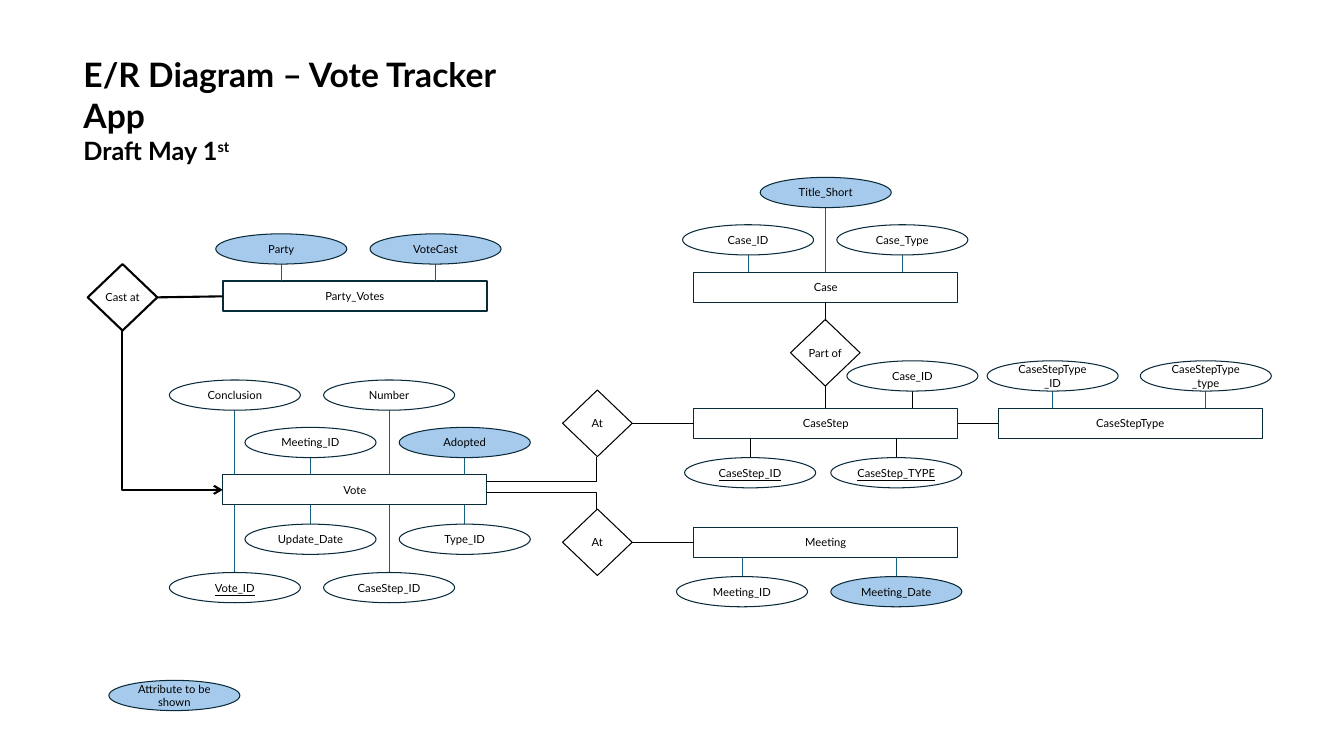
from pptx import Presentation, util as u
from pptx.dml.color import RGBColor
from pptx.enum import shapes, text
from pptx.oxml.ns import qn
from lxml import etree

BLACK = RGBColor(0x00, 0x00, 0x00)
WHITE = RGBColor(0xFF, 0xFF, 0xFF)
NAVY = RGBColor(0x09, 0x2A, 0x39)
TEAL = RGBColor(0x15, 0x60, 0x82)
SHOWN_BLUE = RGBColor(0xA6, 0xCA, 0xEC)
FONT = "Lato"
THIN, THICK = 0.75, 1.5

ENTITY_WIDTH, ENTITY_HEIGHT = 2.62, 0.3
OVAL_WIDTH, OVAL_HEIGHT = 1.3, 0.3
DIAMOND_WIDTH, DIAMOND_HEIGHT = 0.69, 0.66
LEFT_COLUMN, MIDDLE_COLUMN, RIGHT_COLUMN = 2.21, 6.88, 9.9
GAPS = {"above": 0.17, "far above": 0.64, "below": 0.19, "far below": 0.67}

# name, left, top, line width, stem colour, attributes:
# (name, centre from the entity's left, row, "shown" / "key" / "")
ENTITIES = [
    ("Party_Votes", LEFT_COLUMN, 2.79, THICK, TEAL, [
        ("Party", 0.58, "above", "shown"),
        ("VoteCast", 2.11, "above", "shown")]),
    ("Vote", LEFT_COLUMN, 4.71, THIN, TEAL, [
        ("Conclusion", 0.12, "far above", ""),
        ("Meeting_ID", 0.87, "above", ""),
        ("Number", 1.65, "far above", ""),
        ("Adopted", 2.4, "above", "shown"),
        ("Vote_ID", 0.12, "far below", "key"),
        ("Update_Date", 0.87, "below", ""),
        ("CaseStep_ID", 1.65, "far below", ""),
        ("Type_ID", 2.4, "below", "")]),
    ("Case", MIDDLE_COLUMN, 2.7, THIN, TEAL, [
        ("Case_ID", 0.54, "above", ""),
        ("Title_Short", 1.31, "far above", "shown"),
        ("Case_Type", 2.07, "above", "")]),
    ("CaseStep", MIDDLE_COLUMN, 4.05, THIN, BLACK, [
        ("Case_ID", 2.17, "above", ""),
        ("CaseStep_ID", 0.56, "below", "key"),
        ("CaseStep_TYPE", 2.01, "below", "key")]),
    ("Meeting", MIDDLE_COLUMN, 5.23, THIN, TEAL, [
        ("Meeting_ID", 0.48, "below", ""),
        ("Meeting_Date", 2.01, "below", "shown")]),
    ("CaseStepType", RIGHT_COLUMN, 4.05, THIN, TEAL, [
        ("CaseStepType_ID", 0.54, "above", ""),
        ("CaseStepType_type", 2.06, "above", "")]),
]
# name, left, top, line width
RELATIONSHIPS = [
    ("Cast at", 0.87, 2.62, THICK),
    ("Part of", 7.84, 3.17, THIN),
    ("At", 5.58, 3.87, THIN),
    ("At", 5.58, 5.05, THIN),
]
# start, end, line width
STRAIGHT_LINKS = [
    ((1.56, 2.95), (2.21, 2.94), THICK),
    ((8.19, 3.0), (8.19, 3.18), THIN),
    ((8.19, 3.83), (8.19, 4.05), THIN),
    ((6.27, 4.2), (6.88, 4.2), THIN),
    ((6.27, 5.38), (6.88, 5.38), THIN),
    ((9.5, 4.2), (9.9, 4.2), THIN),
]
# side of Vote, tip of the diamond, line width, arrow at Vote
BENT_LINKS = [
    ((2.21, 4.86), (1.21, 3.28), THICK, True),
    ((4.83, 4.78), (5.92, 4.53), THIN, False),
    ((4.83, 4.89), (5.92, 5.05), THIN, False),
]
LEGEND = ("Attribute to be shown", 1.08, 6.75)


def add_node(slide, kind, label, box, fill=WHITE, color=NAVY, width=THIN):
    shape = slide.shapes.add_shape(kind, *map(u.Inches, box))
    shape.shadow.inherit = False
    shape.fill.solid()
    shape.fill.fore_color.rgb = fill
    shape.line.color.rgb = color
    shape.line.width = u.Pt(width)
    frame = shape.text_frame
    frame.word_wrap = True
    frame.vertical_anchor = text.MSO_ANCHOR.MIDDLE
    paragraph = frame.paragraphs[0]
    paragraph.text = label
    paragraph.alignment = text.PP_ALIGN.CENTER
    style_font(paragraph.font, 8)
    return shape


def style_font(font, size, bold=False):
    font.name, font.size, font.bold = FONT, u.Pt(size), bold
    font.color.rgb = BLACK


def add_link(slide, start, end, color=BLACK, width=THIN, bent=False, arrow=False):
    """Bent links leave the start horizontally; an arrow points at the start."""
    link = slide.shapes.add_connector(
        shapes.MSO_CONNECTOR.STRAIGHT, *map(u.Inches, start + end))
    link.line.color.rgb = color
    link.line.width = u.Pt(width)
    properties = link._element.spPr
    if bent:
        properties.find(qn("a:prstGeom")).set("prst", "bentConnector2")
    if arrow:
        etree.SubElement(properties.find(qn("a:ln")), qn("a:headEnd"), type="arrow")
    etree.SubElement(properties, qn("a:effectLst"))


def add_oval(slide, label, left, top, role):
    oval = add_node(slide, shapes.MSO_SHAPE.OVAL, label,
                    (left, top, OVAL_WIDTH, OVAL_HEIGHT),
                    SHOWN_BLUE if role == "shown" else WHITE)
    if role == "key":
        oval.text_frame.margin_left = oval.text_frame.margin_right = u.Inches(0.04)
        oval.text_frame.paragraphs[0].font.underline = True


def add_entity(slide, name, left, top, width, stem_color, attributes):
    add_node(slide, shapes.MSO_SHAPE.RECTANGLE, name,
             (left, top, ENTITY_WIDTH, ENTITY_HEIGHT), width=width)
    for label, offset, row, role in attributes:
        center, gap = left + offset, GAPS[row]
        if "above" in row:
            edge, oval_edge = top, top - gap
            oval_top = oval_edge - OVAL_HEIGHT
        else:
            edge = top + ENTITY_HEIGHT
            oval_top = oval_edge = edge + gap
        add_link(slide, (center, edge), (center, oval_edge), stem_color)
        add_oval(slide, label, center - OVAL_WIDTH / 2, oval_top, role)


def add_title(slide):
    box = slide.shapes.add_textbox(*map(u.Inches, (0.73, 0.49, 4.94, 0.91)))
    frame = box.text_frame
    frame.word_wrap = True
    title, draft = frame.paragraphs[0], frame.add_paragraph()
    title.text = "E/R Diagram – Vote Tracker App"
    style_font(title.font, 24, bold=True)
    draft.text = "Draft May 1"
    style_font(draft.font, 18, bold=True)
    suffix = draft.add_run()
    suffix.text = "st"
    suffix.font._element.set("baseline", "30000")


def main():
    presentation = Presentation()
    presentation.slide_width = u.Inches(13.33)
    presentation.slide_height = u.Inches(7.5)
    slide = presentation.slides.add_slide(presentation.slide_layouts[6])
    add_title(slide)
    for entity in ENTITIES:
        add_entity(slide, *entity)
    for name, left, top, width in RELATIONSHIPS:
        diamond = add_node(slide, shapes.MSO_SHAPE.DIAMOND, name,
                           (left, top, DIAMOND_WIDTH, DIAMOND_HEIGHT),
                           color=BLACK, width=width)
        frame = diamond.text_frame
        frame.word_wrap = False
        frame.margin_left = frame.margin_right = 0
    for start, end, width in STRAIGHT_LINKS:
        add_link(slide, start, end, width=width)
    for start, end, width, arrow in BENT_LINKS:
        add_link(slide, start, end, width=width, bent=True, arrow=arrow)
    add_oval(slide, *LEGEND, "shown")
    presentation.save("out.pptx")


if __name__ == "__main__":
    main()
